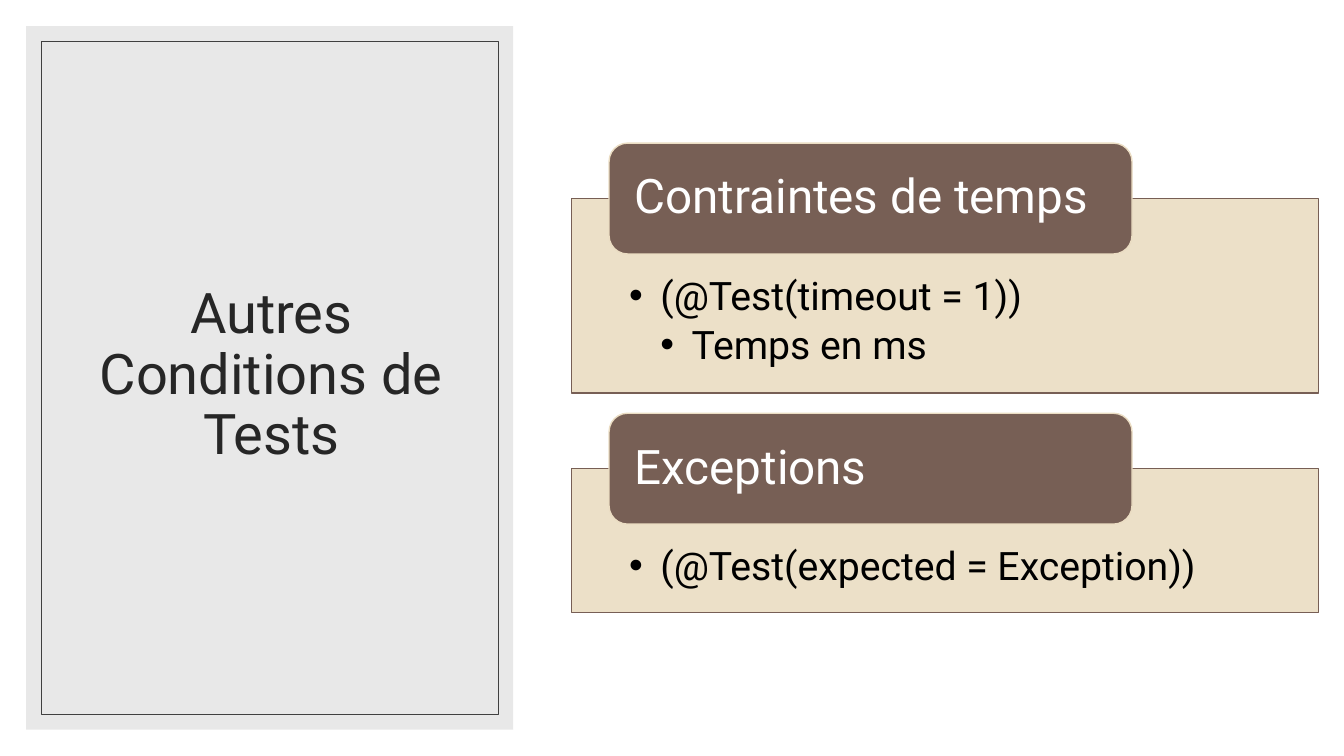
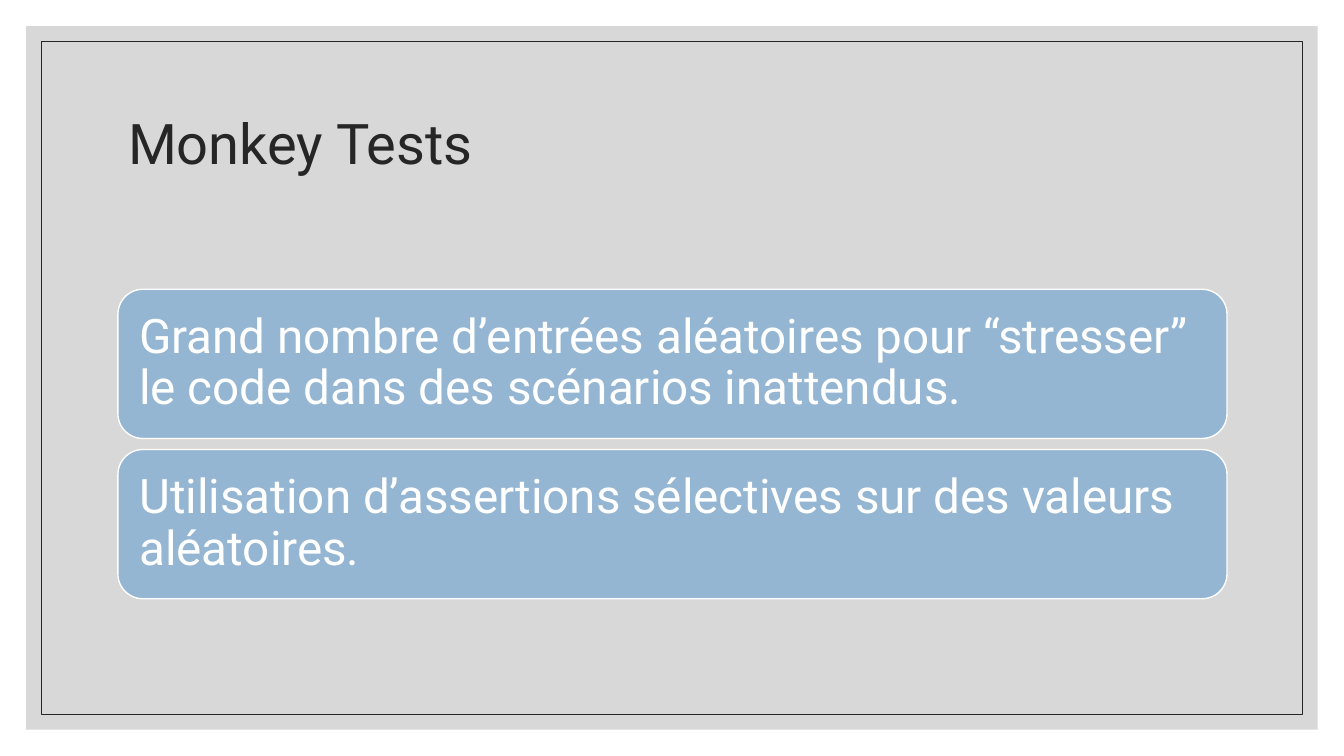
import pptx
import pptx.util
import pptx.dml.color
import pptx.enum.shapes
import pptx.enum.text
import pptx.oxml.ns
import lxml.etree

WIDTH, HEIGHT = 13.33, 7.5
MARGIN, BORDER_GAP = 0.26, 0.15
FONT = "Roboto"
INK, WHITE, BROWN, SAND, BLUE = "262626", "FFFFFF", "775F55", "EBDDC3", "94B6D2"
TITLE_SIZE, HEADING_SIZE, BULLET_SIZE = 40, 34, 28
BULLET_INDENT = 0.31

CONDITIONS_TITLE = "Autres Conditions de Tests"
CONDITIONS = [
    ("Contraintes de temps", [(1, "(@Test(timeout = 1))"), (2, "Temps en ms")], 1.93),
    ("Exceptions", [(1, "(@Test(expected = Exception))")], 1.43),
]
MONKEY_TITLE = "Monkey Tests"
MONKEY_POINTS = [
    "Grand nombre d’entrées aléatoires pour “stresser” le code dans des scénarios inattendus.",
    "Utilisation d’assertions sélectives sur des valeurs aléatoires.",
]

Align = pptx.enum.text.PP_ALIGN
Anchor = pptx.enum.text.MSO_ANCHOR
Shape = pptx.enum.shapes.MSO_SHAPE
qn = pptx.oxml.ns.qn
inch = pptx.util.Inches


def rgb(value):
    return pptx.dml.color.RGBColor.from_string(value)


def add_box(slide, kind, box, fill=None, alpha=None, line=None, line_width=1):
    sp = slide.shapes.add_shape(kind, *map(inch, box))
    sp.shadow.inherit = False
    if fill:
        sp.fill.solid()
        sp.fill.fore_color.rgb = rgb(fill)
    else:
        sp.fill.background()
    if alpha:
        color = sp.element.spPr.find(qn("a:solidFill"))[0]
        lxml.etree.SubElement(color, qn("a:alpha"), val=str(alpha * 1000))
    if line:
        sp.line.color.rgb = rgb(line)
        sp.line.width = pptx.util.Pt(line_width)
    else:
        sp.line.fill.background()
    return sp


def write(p, text, size=HEADING_SIZE, color=WHITE, align=Align.LEFT, level=0, after=0):
    p.alignment = align
    p.line_spacing = 0.9
    p.space_before = pptx.util.Pt(0)
    p.space_after = pptx.util.Pt(after)
    r = p.add_run()
    r.text = text
    r.font.name = FONT
    r.font.size = pptx.util.Pt(size)
    r.font.color.rgb = rgb(color)
    if level:
        p.level = level
        props = p._p.get_or_add_pPr()
        props.set("marL", str(inch(BULLET_INDENT * level)))
        props.set("indent", str(-inch(BULLET_INDENT)))
        lxml.etree.SubElement(props, qn("a:buFont"), typeface="Arial")
        lxml.etree.SubElement(props, qn("a:buChar"), char="•")


def set_frame(sp, insets, anchor=Anchor.MIDDLE):
    tf = sp.text_frame
    tf.word_wrap = True
    tf.auto_size = pptx.enum.text.MSO_AUTO_SIZE.NONE
    tf.vertical_anchor = anchor
    tf.margin_left, tf.margin_top, tf.margin_right, tf.margin_bottom = map(inch, insets)
    return tf


def add_titled_slide(prs, title, title_box, panel_width, panel_fill, border, align):
    slide = prs.slides.add_slide(prs.slide_layouts[5])
    for inset, look in (
        (0, dict(fill=panel_fill, alpha=60)),
        (BORDER_GAP, dict(line=border, line_width=0.5)),
    ):
        edge = MARGIN + inset
        box = (edge, edge, panel_width - 2 * inset, HEIGHT - 2 * edge)
        add_box(slide, Shape.RECTANGLE, box, **look)
    sp = slide.shapes.title
    sp.left, sp.top, sp.width, sp.height = map(inch, title_box)
    tf = set_frame(sp, (0.1, 0.05, 0.1, 0.05))
    write(tf.paragraphs[0], title, size=TITLE_SIZE, color=INK, align=align)
    sp.element.getparent().append(sp.element)
    return slide


def build_conditions(prs):
    slide = add_titled_slide(prs, CONDITIONS_TITLE, (0.63, 0.61, 4.12, 6.24),
                             4.83, "D9D9D9", "404040", Align.CENTER)
    left, width, tab_height, gap = 5.67, 7.41, 1.1, 0.2
    top = 1.42
    for heading, bullets, height in CONDITIONS:
        body_top = top + tab_height / 2
        body = add_box(slide, Shape.RECTANGLE, (left, body_top, width, height),
                       fill=SAND, alpha=90, line=BROWN)
        tf = set_frame(body, (0.57, 0.77, 0.57, 0.22), Anchor.TOP)
        for i, (level, text) in enumerate(bullets):
            p = tf.add_paragraph() if i else tf.paragraphs[0]
            write(p, text, size=BULLET_SIZE, color="000000", level=level, after=5)
        tab = add_box(slide, Shape.ROUNDED_RECTANGLE,
                      (left + 0.05 * width, top, 0.7 * width, tab_height), fill=BROWN, line=SAND)
        write(set_frame(tab, (0.2, 0, 0.2, 0)).paragraphs[0], heading)
        top = body_top + height + gap


def build_monkey_tests(prs):
    left, width, height, gap = 1.17, 11, 1.48, 0.11
    slide = add_titled_slide(prs, MONKEY_TITLE, (left, 0.7, width, 1.5),
                             WIDTH - 2 * MARGIN, "BFBFBF", INK, Align.LEFT)
    for i, text in enumerate(MONKEY_POINTS):
        box = (left, 2.87 + i * (height + gap), width, height)
        sp = add_box(slide, Shape.ROUNDED_RECTANGLE, box, fill=BLUE, line=WHITE)
        write(set_frame(sp, (0.14,) * 4).paragraphs[0], text)


def main():
    prs = pptx.Presentation()
    prs.slide_width, prs.slide_height = inch(WIDTH), inch(HEIGHT)
    build_conditions(prs)
    build_monkey_tests(prs)
    prs.save("out.pptx")


if __name__ == "__main__":
    main()
